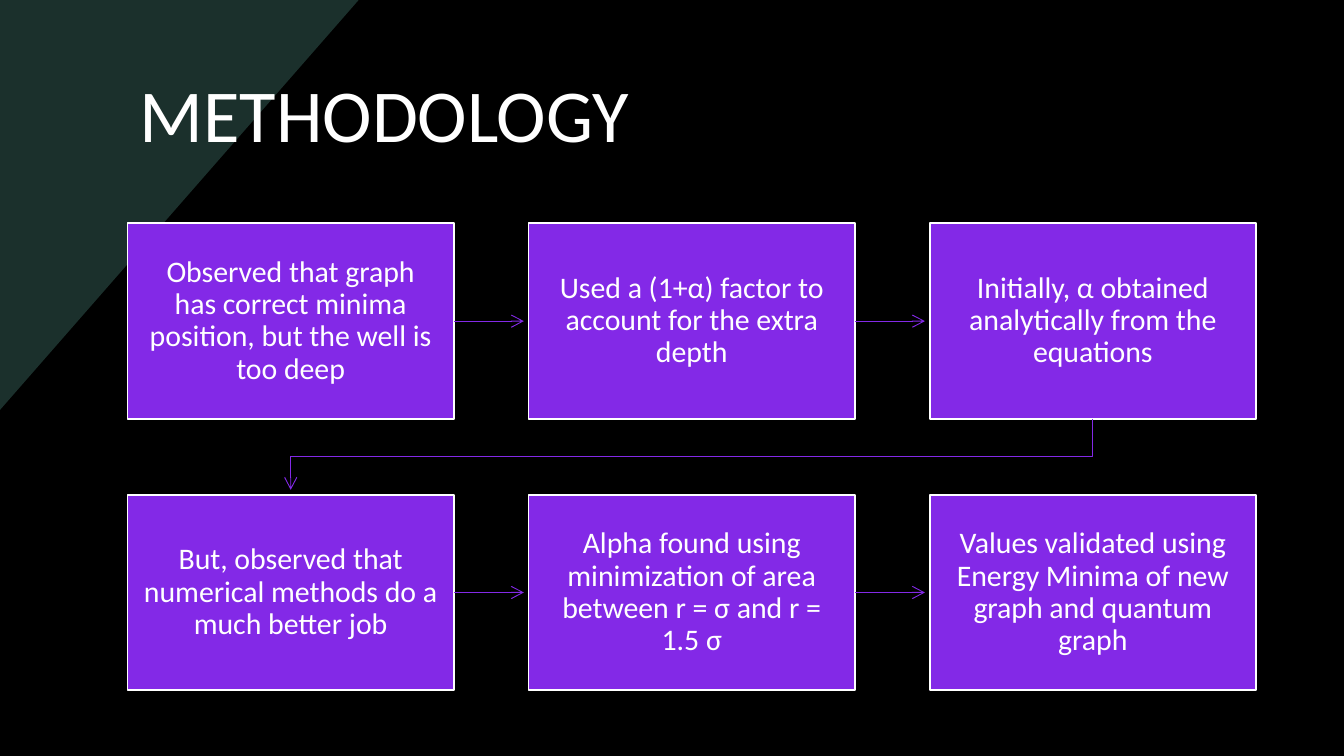
from pptx import Presentation
from pptx import util as u
from pptx.dml import color
from pptx.enum import shapes, text
from pptx.oxml import ns
from lxml import etree

BLACK = color.RGBColor(0x00, 0x00, 0x00)
WHITE = color.RGBColor(0xFF, 0xFF, 0xFF)
PURPLE = color.RGBColor(0x83, 0x29, 0xE7)
DARK_GREEN = color.RGBColor(0x1B, 0x30, 0x2C)

LEFT, TOP = 2.41, 4.22
BOX_WIDTH, BOX_HEIGHT = 6.17, 3.7
COLUMN_STEP, ROW_STEP = 7.58, 5.13
ARROW_GAP = 0.09
COLUMNS = 3

STEPS = [
    "Observed that graph has correct minima position, but the well is too deep",
    "Used a (1+α) factor to account for the extra depth",
    "Initially, α obtained analytically from the equations",
    "But, observed that numerical methods do a much better job",
    "Alpha found using minimization of area between r = σ and r = 1.5 σ",
    "Values validated using Energy Minima of new graph and quantum graph",
]


def add_text(paragraph, content, size):
    run = paragraph.add_run()
    run.text = content
    run.font.name = "Calibri"
    run.font.size = u.Pt(size)
    run.font.color.rgb = WHITE


def style_arrow(shape):
    shape.line.color.rgb = PURPLE
    shape.line.width = u.Pt(0.5)
    etree.SubElement(shape.line._get_or_add_ln(), ns.qn("a:tailEnd"), type="arrow")
    etree.SubElement(shape._element.spPr, ns.qn("a:effectLst"))


presentation = Presentation()
presentation.slide_width = u.Cm(25.4)
presentation.slide_height = u.Cm(14.29)
slide = presentation.slides.add_slide(presentation.slide_layouts[6])
slide.background.fill.solid()
slide.background.fill.fore_color.rgb = BLACK

builder = slide.shapes.build_freeform(u.Cm(0), u.Cm(7.75))
builder.add_line_segments([(u.Cm(0), u.Cm(0)), (u.Cm(6.78), u.Cm(0))], close=True)
corner = builder.convert_to_shape()
corner.shadow.inherit = False
corner.fill.solid()
corner.fill.fore_color.rgb = DARK_GREEN
corner.line.fill.background()

title = slide.shapes.add_textbox(u.Cm(2.39), u.Cm(0.99), u.Cm(19.76), u.Cm(2.29))
title.text_frame.word_wrap = True
title.text_frame.vertical_anchor = text.MSO_ANCHOR.MIDDLE
add_text(title.text_frame.paragraphs[0], "METHODOLOGY", 40)

for index, step in enumerate(STEPS):
    row, column = divmod(index, COLUMNS)
    left = LEFT + column * COLUMN_STEP
    top = TOP + row * ROW_STEP

    box = slide.shapes.add_shape(
        shapes.MSO_SHAPE.RECTANGLE,
        u.Cm(left), u.Cm(top), u.Cm(BOX_WIDTH), u.Cm(BOX_HEIGHT),
    )
    box.shadow.inherit = False
    box.fill.solid()
    box.fill.fore_color.rgb = PURPLE
    box.line.color.rgb = WHITE
    box.line.width = u.Pt(1)

    frame = box.text_frame
    frame.word_wrap = True
    frame.vertical_anchor = text.MSO_ANCHOR.MIDDLE
    frame.margin_left = frame.margin_right = u.Cm(0.3)
    frame.margin_top = frame.margin_bottom = u.Cm(0.3)
    paragraph = frame.paragraphs[0]
    paragraph.alignment = text.PP_ALIGN.CENTER
    paragraph.line_spacing = 0.9
    add_text(paragraph, step, 16)

    if column < COLUMNS - 1:
        middle = u.Cm(top + BOX_HEIGHT / 2)
        arrow = slide.shapes.add_connector(
            shapes.MSO_CONNECTOR.STRAIGHT,
            u.Cm(left + BOX_WIDTH), middle,
            u.Cm(left + COLUMN_STEP - ARROW_GAP), middle,
        )
        style_arrow(arrow)

first_center = u.Cm(LEFT + BOX_WIDTH / 2)
last_center = u.Cm(LEFT + (COLUMNS - 1) * COLUMN_STEP + BOX_WIDTH / 2)
row_bottom = u.Cm(TOP + BOX_HEIGHT)
turn = u.Cm(TOP + (BOX_HEIGHT + ROW_STEP) / 2)
arrow_tip = u.Cm(TOP + ROW_STEP - ARROW_GAP)

builder = slide.shapes.build_freeform(last_center, row_bottom)
builder.add_line_segments(
    [(last_center, turn), (first_center, turn), (first_center, arrow_tip)],
    close=False,
)
return_arrow = builder.convert_to_shape()
return_arrow.fill.background()
style_arrow(return_arrow)

presentation.save("out.pptx")
